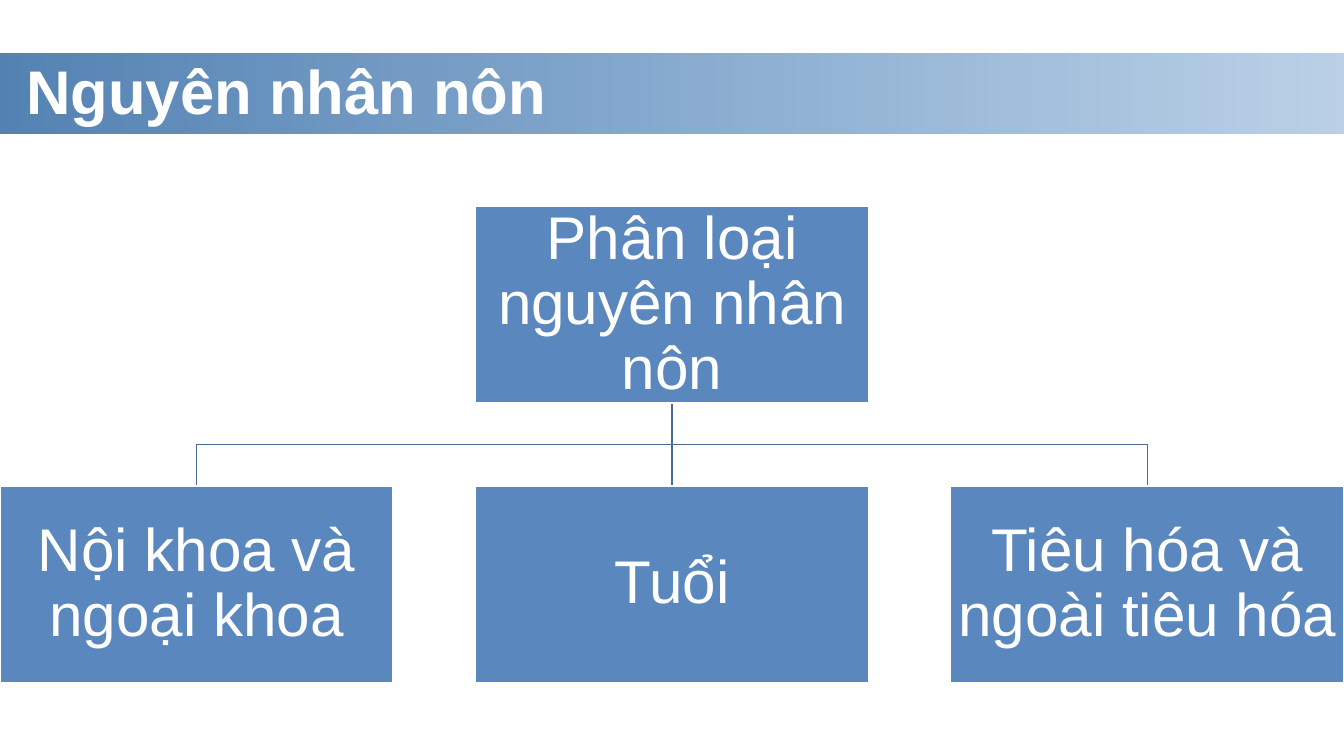
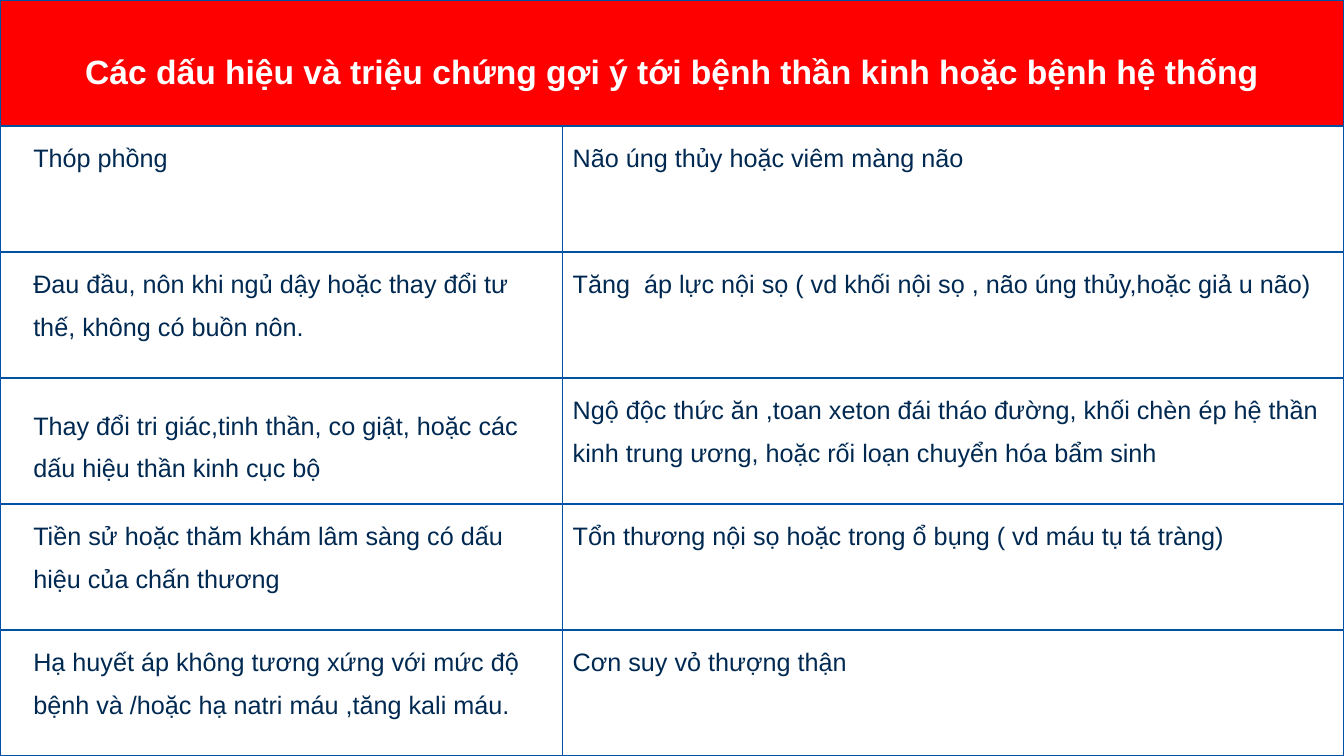
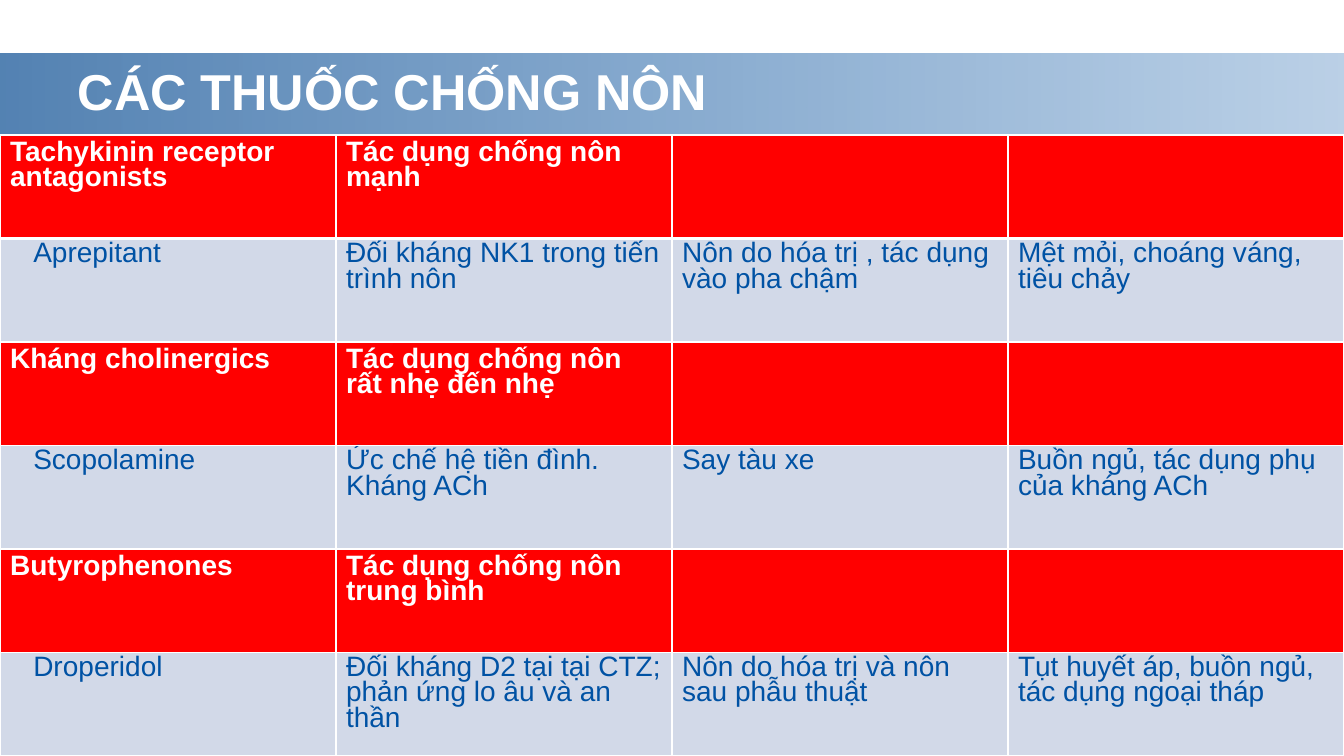
from lxml import etree
from pptx import Presentation
from pptx.dml.color import RGBColor
from pptx.enum.shapes import MSO_CONNECTOR, MSO_SHAPE
from pptx.enum.text import MSO_ANCHOR, MSO_AUTO_SIZE, PP_ALIGN
from pptx.oxml.ns import qn
from pptx.util import Inches, Pt

RECT, STRAIGHT = MSO_SHAPE.RECTANGLE, MSO_CONNECTOR.STRAIGHT
TOP, MIDDLE = MSO_ANCHOR.TOP, MSO_ANCHOR.MIDDLE
LEFT, CENTER = PP_ALIGN.LEFT, PP_ALIGN.CENTER
NO_FIT = MSO_AUTO_SIZE.NONE

W, H = 13.33, 7.5
FONT = "Arial"
WHITE, RED, BLUE, NAVY = "FFFFFF", "FF0000", "0052A4", "002952"
BOX_BLUE, LINK_BLUE, PALE = "5A87BE", "486C98", "D2D9E8"
BAND_TOP, BAND_H = 0.53, 0.8
BAND_STOPS = [("00478F", 68), (BLUE, 27)]
TITLE_TOP, TITLE_H, TITLE_RIGHT = 0.27, 1.25, 9.34

CAUSES = ["Nội khoa và ngoại khoa", "Tuổi", "Tiêu hóa và ngoài tiêu hóa"]

SIGNS = [
    ["Các dấu hiệu và triệu chứng gợi ý tới bệnh thần kinh hoặc bệnh hệ thống", ""],
    ["Thóp phồng", "Não úng thủy hoặc viêm màng não"],
    ["Đau đầu, nôn khi ngủ dậy hoặc thay đổi tư thế, không có buồn nôn.",
     "Tăng  áp lực nội sọ ( vd khối nội sọ , não úng thủy,hoặc giả u não)"],
    ["Thay đổi tri giác,tinh thần, co giật, hoặc các dấu hiệu thần kinh cục bộ",
     "Ngộ độc thức ăn ,toan xeton đái tháo đường, khối chèn ép hệ thần kinh trung ương, "
     "hoặc rối loạn chuyển hóa bẩm sinh"],
    ["Tiền sử hoặc thăm khám lâm sàng có dấu hiệu của chấn thương",
     "Tổn thương nội sọ hoặc trong ổ bụng ( vd máu tụ tá tràng)"],
    ["Hạ huyết áp không tương xứng với mức độ bệnh và /hoặc hạ natri máu ,tăng kali máu.",
     "Cơn suy vỏ thượng thận"],
]

DRUGS = [
    ["Tachykinin receptor antagonists", "Tác dụng chống nôn mạnh", "", ""],
    ["Aprepitant", "Đối kháng NK1 trong tiến trình nôn",
     "Nôn do hóa trị , tác dụng vào pha chậm", "Mệt mỏi, choáng váng, tiêu chảy"],
    ["Kháng cholinergics", "Tác dụng chống nôn rất nhẹ đến nhẹ", "", ""],
    ["Scopolamine", "Ức chế hệ tiền đình. Kháng ACh", "Say tàu xe",
     "Buồn ngủ, tác dụng phụ của kháng ACh"],
    ["Butyrophenones", "Tác dụng chống nôn trung bình", "", ""],
    ["Droperidol", "Đối kháng D2 tại tại CTZ; phản ứng lo âu và an thần",
     "Nôn do hóa trị và nôn sau phẫu thuật", "Tụt huyết áp, buồn ngủ, tác dụng ngoại tháp"],
]


def rgb(value):
    return RGBColor.from_string(value)


def inches(*values):
    return [Inches(v) for v in values]


def set_all(obj, values):
    for name, value in values.items():
        setattr(obj, name, value)


def write(tf, text, color, size, bold=False, align=LEFT, spacing=1.0):
    p = tf.paragraphs[0]
    set_all(p, {"alignment": align, "line_spacing": spacing})
    r = p.add_run()
    r.text = text
    set_all(r.font, {"name": FONT, "size": Pt(size), "bold": bold})
    r.font.color.rgb = rgb(color)


def set_line(sp, color, width=1):
    sp.line.color.rgb = rgb(color)
    sp.line.width = Pt(width)


def add_band(slide, layout):
    """Draw the gradient band and move it behind the title of the layout."""
    sp = slide.shapes.add_shape(RECT, *inches(0, BAND_TOP, W, BAND_H))
    sp.shadow.inherit = False
    sp.line.fill.background()
    sp.fill.gradient()
    sp.fill.gradient_angle = 0
    for stop, (color, opacity) in zip(sp.fill.gradient_stops, BAND_STOPS):
        stop.color.rgb = rgb(color)
    for clr, (color, opacity) in zip(sp.element.iter(qn("a:srgbClr")), BAND_STOPS):
        etree.SubElement(clr, qn("a:alpha"), val=str(opacity * 1000))
    layout.shapes.element.insert(2, sp.element)


def set_title(slide, text, left, size):
    title = slide.shapes.title
    box = inches(left, TITLE_TOP, TITLE_RIGHT - left, TITLE_H)
    set_all(title, dict(zip(("left", "top", "width", "height"), box)))
    tf = title.text_frame
    set_all(tf, {"vertical_anchor": MIDDLE, "auto_size": NO_FIT, "word_wrap": True})
    write(tf, text, WHITE, size, bold=True)


def add_node(slide, text, x, y, w, h):
    sp = slide.shapes.add_shape(RECT, *inches(x, y, w, h))
    sp.shadow.inherit = False
    sp.fill.solid()
    sp.fill.fore_color.rgb = rgb(BOX_BLUE)
    set_line(sp, WHITE)
    tf = sp.text_frame
    set_all(tf, {"vertical_anchor": MIDDLE, "word_wrap": True})
    set_all(tf, {f"margin_{side}": Inches(0.03) for side in ("left", "right", "top", "bottom")})
    write(tf, text, WHITE, 43, align=CENTER, spacing=0.9)


def add_link(slide, x1, y1, x2, y2):
    """Join two points: straight when one is below the other, else by an elbow."""
    if abs(x1 - x2) < 0.01:
        sp = slide.shapes.add_connector(STRAIGHT, *inches(x1, y1, x2, y2))
        set_line(sp, LINK_BLUE)
        etree.SubElement(sp.element.spPr, qn("a:effectLst"))
        return
    mid = (y1 + y2) / 2
    path_points = [inches(*pt) for pt in ((x1, mid), (x2, mid), (x2, y2))]
    builder = slide.shapes.build_freeform(*inches(x1, y1))
    builder.add_line_segments(path_points, close=False)
    sp = builder.convert_to_shape()
    sp.fill.background()
    set_line(sp, LINK_BLUE)
    sp.shadow.inherit = False


def add_tree(slide, root, leaves, x, y, w, h):
    """Root above a row of leaves, all boxes alike and the leaves at equal gaps."""
    node_w, node_h = 3.9, 1.95
    step = (w - node_w) / (len(leaves) - 1)
    root_x, leaf_y = x + (w - node_w) / 2, y + h - node_h
    lefts = [x + i * step for i in range(len(leaves))]
    for left in lefts:
        add_link(slide, root_x + node_w / 2, y + node_h, left + node_w / 2, leaf_y)
    add_node(slide, root, root_x, y, node_w, node_h)
    for leaf, left in zip(leaves, lefts):
        add_node(slide, leaf, left, leaf_y, node_w, node_h)


def set_borders(cell, color, bottom=1):
    """Must run before the fill, which follows the lines in the cell properties."""
    tcPr = cell._tc.get_or_add_tcPr()
    for side, width in (("L", 1), ("R", 1), ("T", 1), ("B", bottom)):
        ln = etree.SubElement(tcPr, qn(f"a:ln{side}"), w=str(Pt(width)))
        fill = etree.SubElement(ln, qn("a:solidFill"))
        etree.SubElement(fill, qn("a:srgbClr"), val=color)


def add_grid(slide, rows, widths, box, border, style_of):
    """Table with equal rows; style_of(row, column) gives the format of a cell."""
    table = slide.shapes.add_table(len(rows), len(widths), *inches(*box)).table
    set_all(table, {"first_row": False, "horz_banding": False})
    for column, width in zip(table.columns, widths):
        column.width = Inches(width)
    for i, row in enumerate(rows):
        table.rows[i].height = Inches(box[3] / len(rows))
        for j, text in enumerate(row):
            cell, style = table.cell(i, j), style_of(i, j)
            set_borders(cell, border, style.get("bottom", 1))
            cell.fill.solid()
            cell.fill.fore_color.rgb = rgb(style["fill"])
            left, top = inches(*style.get("inset", (0.1, 0.05)))
            set_all(cell, {"margin_left": left, "margin_top": top,
                           "vertical_anchor": style.get("anchor", TOP)})
            if text:
                write(cell.text_frame, text, **style["text"])
    return table


def sign_style(i, j):
    if i == 0:
        return {"fill": RED, "anchor": MIDDLE,
                "text": {"color": WHITE, "size": 24, "bold": True,
                         "align": CENTER, "spacing": 1.5}}
    return {"fill": WHITE, "anchor": MIDDLE if (i, j) == (3, 0) else TOP,
            "inset": (0.1 if j else 0.33, 0.05),
            "text": {"color": NAVY, "size": 18, "spacing": 1.5}}


def drug_style(i, j):
    """Group rows are red and bold, drug rows pale."""
    group = i % 2 == 0
    return {"fill": RED if group else PALE, "bottom": 1 if i else 3,
            "inset": (0.1, 0.07) if group else (0.1 if j else 0.33, 0.05),
            "text": {"color": WHITE if group else BLUE, "size": 20,
                     "bold": group, "spacing": Pt(18)}}


def main():
    prs = Presentation()
    prs.slide_width, prs.slide_height = inches(W, H)
    title_only, blank = prs.slide_layouts[5], prs.slide_layouts[6]

    s = prs.slides.add_slide(title_only)
    add_band(s, title_only)
    set_title(s, "Nguyên nhân nôn", 0.16, 44)
    add_tree(s, "Phân loại nguyên nhân nôn", CAUSES, 0, 2.05, W, 4.72)

    s = prs.slides.add_slide(blank)
    table = add_grid(s, SIGNS, [5.58, W - 5.58], (0, 0, W, H), BLUE, sign_style)
    table.cell(0, 0).merge(table.cell(0, 1))

    s = prs.slides.add_slide(title_only)
    set_title(s, "CÁC THUỐC CHỐNG NÔN", 0.67, 36)
    add_grid(s, DRUGS, [W / 4] * 4, (0, 1.34, W, H - 1.34), WHITE, drug_style)

    prs.save("out.pptx")


if __name__ == "__main__":
    main()
